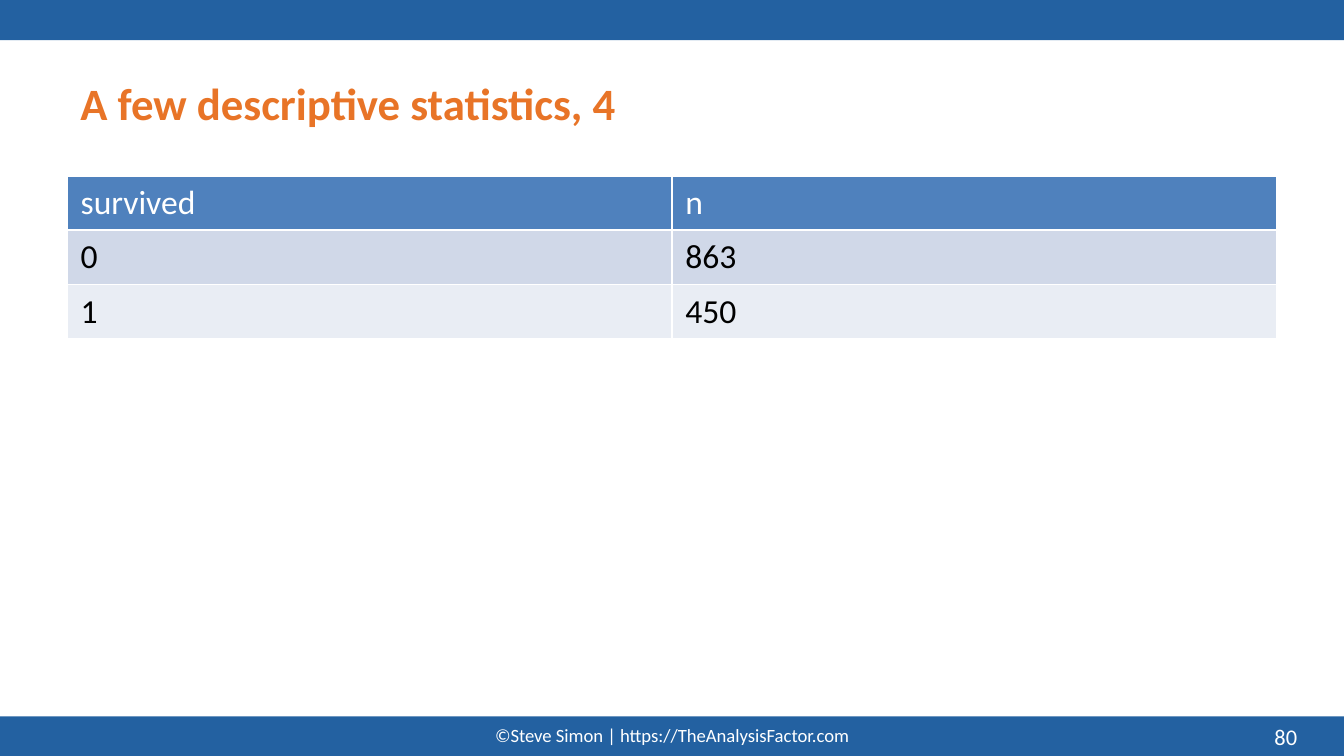
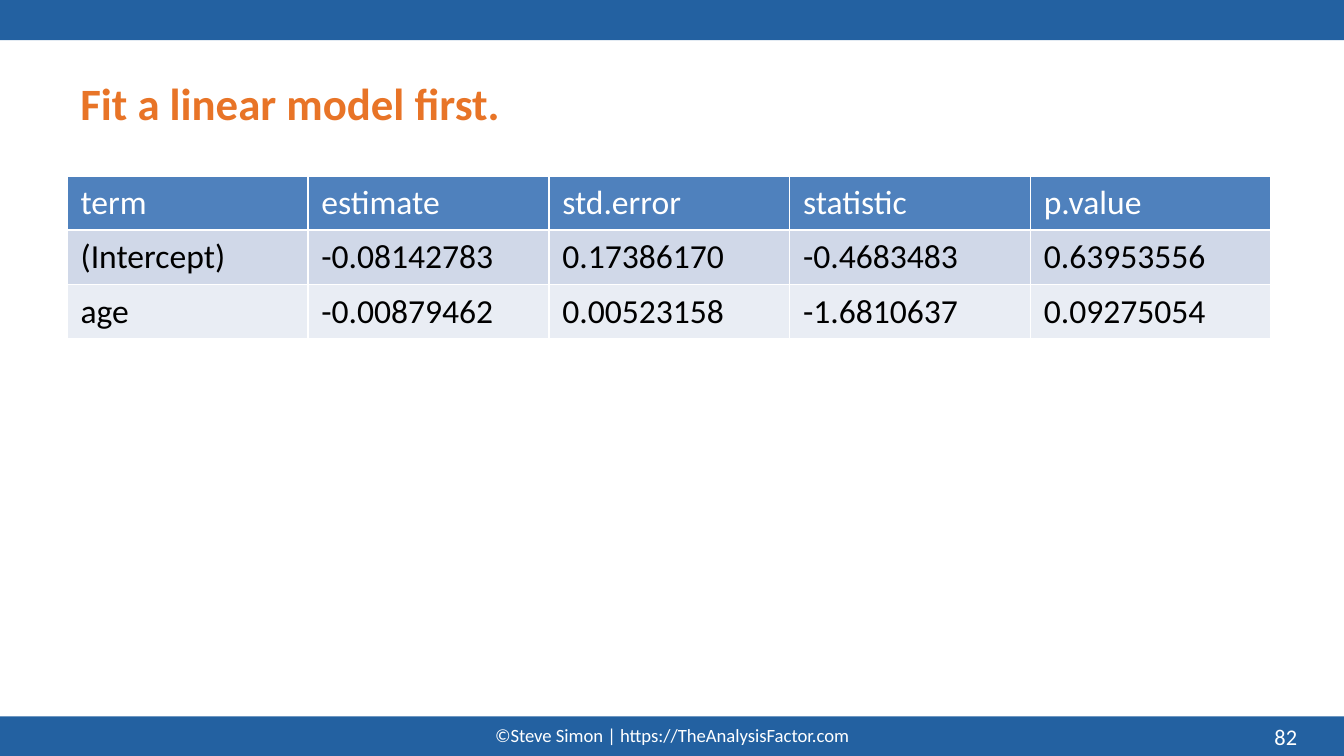
from pptx import Presentation
from pptx.dml.color import RGBColor
from pptx.enum.shapes import MSO_SHAPE as Shape
from pptx.enum.text import MSO_ANCHOR as Anchor, PP_ALIGN as Align
from pptx.util import Inches, Pt

COLORS = {
    "band": "2361A1",
    "title": "E87427",
    "header": "4F81BD",
    "odd_row": "D0D8E8",
    "even_row": "E9EDF4",
    "white": "FFFFFF",
    "black": "000000",
}
FONT = "Calibri"
WIDTH = 10
BAND_HEIGHT = 0.3
BAND_TOPS = [0, 5.33]
TABLE_HEIGHT = 1.21
ROW_FILLS = ["header", "odd_row", "even_row"]
FOOTER = "©Steve Simon | https://TheAnalysisFactor.com"

PAGES = [
    ("A few descriptive statistics, 4", 80, 9, [
        ["survived", "n"],
        ["0", "863"],
        ["1", "450"],
    ]),
    ("Fit a linear model first.", 82, 8.96, [
        ["term", "estimate", "std.error", "statistic", "p.value"],
        ["(Intercept)", "-0.08142783", "0.17386170", "-0.4683483", "0.63953556"],
        ["age", "-0.00879462", "0.00523158", "-1.6810637", "0.09275054"],
    ]),
]


def write(frame, text, size, color, align=Align.LEFT, bold=False):
    paragraph = frame.paragraphs[0]
    paragraph.text = text
    paragraph.alignment = align
    font = paragraph.font
    font.name, font.size, font.bold = FONT, Pt(size), bold
    font.color.rgb = RGBColor.from_string(COLORS[color])


def add_text(slide, box, text, size, color, align, anchor, bold=False):
    frame = slide.shapes.add_textbox(*map(Inches, box)).text_frame
    frame.word_wrap = True
    frame.vertical_anchor = anchor
    write(frame, text, size, color, align, bold)


prs = Presentation()
prs.slide_width = Inches(WIDTH)
prs.slide_height = Inches(WIDTH * 9 / 16)

for title, number, table_width, rows in PAGES:
    slide = prs.slides.add_slide(prs.slide_layouts[6])

    for top in BAND_TOPS:
        band = slide.shapes.add_shape(
            Shape.RECTANGLE, 0, Inches(top), Inches(WIDTH), Inches(BAND_HEIGHT))
        band.shadow.inherit = False
        band.fill.solid()
        band.fill.fore_color.rgb = RGBColor.from_string(COLORS["band"])
        band.line.fill.background()

    add_text(slide, (0.5, 0.29, 9, 0.94), title, 24, "title",
             Align.LEFT, Anchor.MIDDLE, bold=True)

    statistics = slide.shapes.add_table(
        len(rows), len(rows[0]), Inches(0.5), Inches(1.31),
        Inches(table_width), Inches(TABLE_HEIGHT)).table
    for r, (values, fill) in enumerate(zip(rows, ROW_FILLS)):
        for c, value in enumerate(values):
            cell = statistics.cell(r, c)
            cell.fill.solid()
            cell.fill.fore_color.rgb = RGBColor.from_string(COLORS[fill])
            write(cell.text_frame, value, 18, "black" if r else "white")

    add_text(slide, (2.96, 5.34, 4.08, 0.27), FOOTER, 10, "white",
             Align.CENTER, Anchor.TOP)
    add_text(slide, (7.42, 5.33, 2.33, 0.3), str(number), 12, "white",
             Align.RIGHT, Anchor.MIDDLE)

prs.save("out.pptx")
